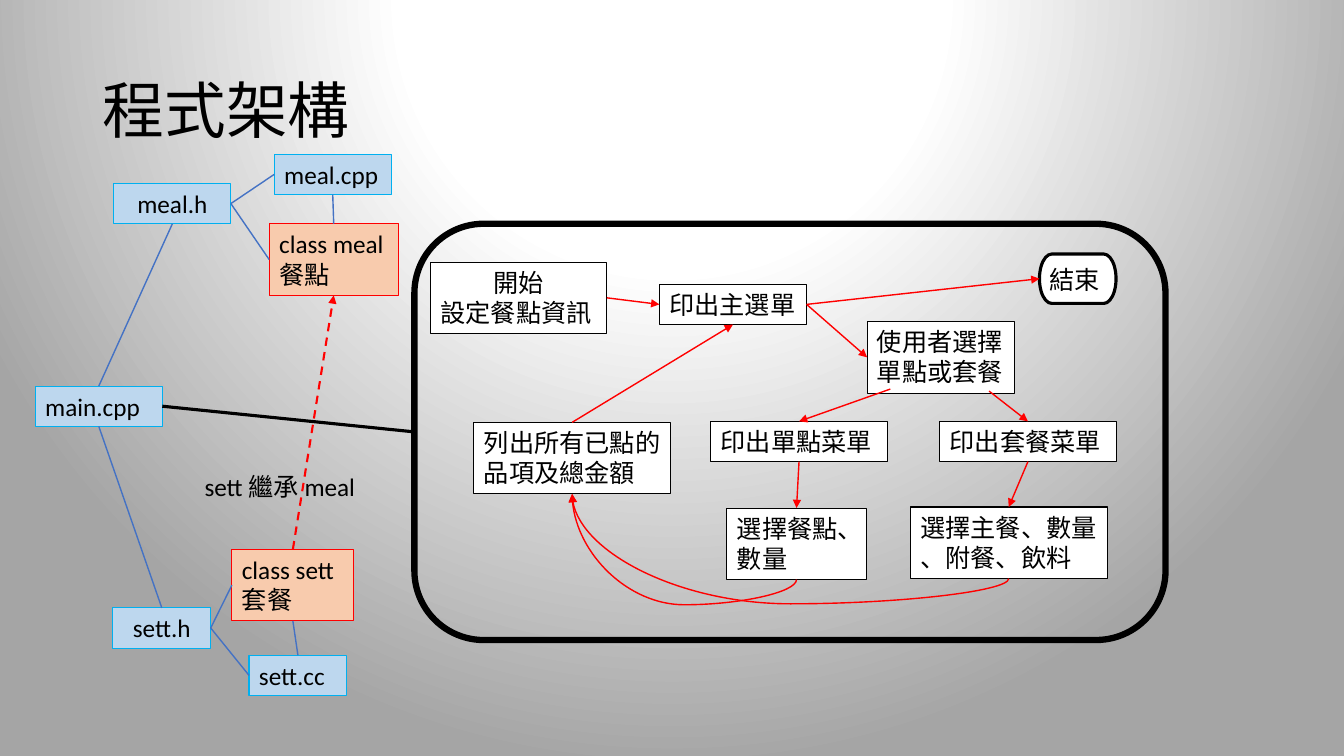
from pptx import Presentation
from pptx.dml.color import RGBColor
from pptx.enum.dml import MSO_LINE
from pptx.enum.shapes import MSO_CONNECTOR as Link, MSO_SHAPE as Shape
from pptx.enum.text import MSO_ANCHOR as Anchor, PP_ALIGN as Align
from pptx.oxml import parse_xml
from pptx.oxml.ns import nsdecls, qn
from pptx.util import Inches, Pt

COLORS = {"black": "000000", "white": "FFFFFF", "gray": "A5A5A5", "red": "FF0000",
          "blue": "4472C4", "cyan": "00B0F0", "file": "BDD7EE", "class": "F8CBAD"}
LATIN, CJK = "Calibri", "Noto Sans CJK TC"
TOP, LEFT, BOTTOM, RIGHT = range(4)
ONE_LINE, TWO_LINES = 0.4, 0.71

TITLE = "程式架構"
# kind: (fill, line)
KINDS = {"file": ("file", "cyan"), "class": ("class", "red"), "step": ("white", "black")}
# name: (kind, lines, left, top, width, height, centred lines)
BOXES = {
    "main": ("file", ["main.cpp"], 0.35, 3.83, 1.26, ONE_LINE, 0),
    "meal_h": ("file", ["meal.h"], 1.13, 1.82, 1.16, ONE_LINE, 1),
    "sett_h": ("file", ["sett.h"], 1.12, 6.03, 0.97, ONE_LINE, 1),
    "meal_cpp": ("file", ["meal.cpp"], 2.72, 1.53, 1.16, ONE_LINE, 0),
    "sett_cc": ("file", ["sett.cc"], 2.47, 6.5, 0.97, ONE_LINE, 0),
    "class_meal": ("class", ["class meal", "餐點"], 2.67, 2.22, 1.28, TWO_LINES, 0),
    "class_sett": ("class", ["class sett", "套餐"], 2.3, 5.45, 1.21, TWO_LINES, 0),
    "start": ("step", ["開始", "設定餐點資訊"], 4.27, 2.6, 1.75, TWO_LINES, 1),
    "menu": ("step", ["印出主選單"], 6.54, 2.82, 1.46, ONE_LINE, 0),
    "choose": ("step", ["使用者選擇單點或套餐"], 8.6, 3.19, 1.46, TWO_LINES, 0),
    "single_menu": ("step", ["印出單點菜單"], 7.05, 4.18, 1.75, ONE_LINE, 0),
    "set_menu": ("step", ["印出套餐菜單"], 9.32, 4.18, 1.75, ONE_LINE, 0),
    "single_pick": ("step", ["選擇餐點、數量"], 7.21, 5.04, 1.38, TWO_LINES, 0),
    "set_pick": ("step", ["選擇主餐、數量", "、附餐、飲料"], 9.03, 5.03, 1.95, TWO_LINES, 0),
    "total": ("step", ["列出所有已點的品項及總金額"], 4.7, 4.19, 1.95, TWO_LINES, 0),
}
# text, left, top, width, height
LABELS = [("sett 繼承 meal", 1.93, 4.63, 1.72, ONE_LINE), ("結束", 10.31, 2.57, 0.72, ONE_LINE)]
# Each end is (box, side) or a free point
FILE_LINKS = [
    (("main", BOTTOM), ("sett_h", TOP)), (("main", TOP), ("meal_h", BOTTOM)),
    (("sett_h", RIGHT), ("class_sett", LEFT)), (("meal_h", RIGHT), ("class_meal", LEFT)),
    (("meal_cpp", LEFT), ("meal_h", RIGHT)), (("sett_cc", LEFT), ("sett_h", RIGHT)),
    (("sett_cc", TOP), ("class_sett", BOTTOM)), (("class_meal", TOP), ("meal_cpp", BOTTOM)),
]
FLOW_ARROWS = [
    (("start", RIGHT), ("menu", LEFT)), (("menu", RIGHT), ("choose", LEFT)),
    ((9.81, 3.88), ("set_menu", TOP)), ((8.83, 3.86), ("single_menu", TOP)),
    (("single_menu", BOTTOM), ("single_pick", TOP)), (("set_menu", BOTTOM), ("set_pick", TOP)),
    (("total", TOP), ("menu", BOTTOM)), (("menu", RIGHT), ("end", LEFT)),
]
RETURN_ARROWS = [("single_pick", "total"), ("set_pick", "total")]


def rgb(name):
    return RGBColor.from_string(COLORS[name])


def write(tf, lines, size=18, font=LATIN, centred=0, anchor=Anchor.TOP, spacing=None):
    tf.word_wrap = True
    tf.vertical_anchor = anchor
    for i, line in enumerate(lines):
        p = tf.paragraphs[0] if i == 0 else tf.add_paragraph()
        p.alignment = Align.CENTER if i < centred else Align.LEFT
        p.line_spacing = spacing
        r = p.add_run()
        r.text = line
        r.font.size, r.font.name = Pt(size), font
        r.font.color.rgb = rgb("black")
        r.font._element.find(qn("a:latin")).addnext(
            parse_xml(f'<a:ea {nsdecls("a")} typeface="{CJK}"/>'))


def add_box(preset, left, top, width, height, fill, line, weight=0.75):
    sp = s.shapes.add_shape(preset, *map(Inches, (left, top, width, height)))
    sp.shadow.inherit = False
    if fill:
        sp.fill.solid()
        sp.fill.fore_color.rgb = rgb(fill)
    else:
        sp.fill.background()
    sp.line.color.rgb, sp.line.width = rgb(line), Pt(weight)
    return sp


def style_line(c, color, weight, arrow):
    c.line.color.rgb, c.line.width = rgb(color), Pt(weight)
    if arrow:
        c.line._get_or_add_ln().append(parse_xml(f'<a:tailEnd {nsdecls("a")} type="triangle"/>'))
    c._element.spPr.append(parse_xml(f'<a:effectLst {nsdecls("a")}/>'))


def connect(begin, end, color, weight=1, arrow=False, dash=None):
    c = s.shapes.add_connector(Link.STRAIGHT, 0, 0, 0, 0)
    if begin[0] in shapes:
        c.begin_connect(shapes[begin[0]], begin[1])
    else:
        c.begin_x, c.begin_y = map(Inches, begin)
    c.end_connect(shapes[end[0]], end[1])
    if dash:
        c.line.dash_style = dash
    style_line(c, color, weight, arrow)


def curve_back(source, target, drop=0.25):
    """Curve from one box's bottom, down by drop, up to another box's bottom."""
    a, b = shapes[source], shapes[target]
    x1, y1 = a.left + a.width // 2, a.top + a.height
    x2, y2 = b.left + b.width // 2, b.top + b.height
    # The connector is laid out unrotated about its centre, then turned by 90 degrees
    cx, cy, rise, run = (x1 + x2) // 2, (y1 + y2) // 2, y1 - y2, x1 - x2
    c = s.shapes.add_connector(Link.CURVE, cx + rise // 2, cy - run // 2,
                               cx - rise // 2, cy + run // 2)
    c._element.spPr.find(qn("a:xfrm")).set("rot", str(90 * 60000))
    adjust = -round(Inches(drop) / rise * 100000)
    guides = c._element.spPr.find(qn("a:prstGeom")).get_or_add_avLst()
    guides.append(parse_xml(f'<a:gd {nsdecls("a")} name="adj1" fmla="val {adjust}"/>'))
    style_line(c, "red", 1, True)


prs = Presentation()
prs.slide_width, prs.slide_height = Inches(13.33), Inches(7.5)
s = prs.slides.add_slide(prs.slide_layouts[5])

# Radial background
s.background.fill.gradient()
grad = s._element.find(".//" + qn("a:gradFill"))
stops = "".join(f'<a:gs pos="{pos * 1000}"><a:srgbClr val="{COLORS[name]}"/></a:gs>'
                for pos, name in ((0, "white"), (35, "white"), (100, "gray")))
grad.getparent().replace(grad, parse_xml(
    f'<a:gradFill {nsdecls("a")} rotWithShape="1"><a:gsLst>{stops}</a:gsLst><a:path path="circle">'
    '<a:fillToRect l="50000" t="-80000" r="50000" b="180000"/></a:path></a:gradFill>'))

# Title
title = s.shapes.title
title.left, title.top, title.width, title.height = map(Inches, (0.92, 0.4, 11.5, 1.45))
write(title.text_frame, [TITLE], size=44, font=CJK, anchor=Anchor.MIDDLE, spacing=0.9)

# Frame, end symbol and boxes
shapes = {
    "frame": add_box(Shape.ROUNDED_RECTANGLE, 4.11, 2.22, 7.45, 4.13, None, "black", 4.5),
    "end": add_box(Shape.FLOWCHART_TERMINATOR, 10.31, 2.52, 0.76, 0.49, "white", "black", 2.25),
}
for name, (kind, lines, *place, centred) in BOXES.items():
    shapes[name] = add_box(Shape.RECTANGLE, *place, *KINDS[kind])
    write(shapes[name].text_frame, lines, centred=centred)
for text, *place in LABELS:
    write(s.shapes.add_textbox(*map(Inches, place)).text_frame, [text])

# Lines and arrows
for begin, end in FILE_LINKS:
    connect(begin, end, "blue")
connect(("main", RIGHT), ("frame", LEFT), "black", weight=2.25)
for begin, end in FLOW_ARROWS:
    connect(begin, end, "red", arrow=True)
for source, target in RETURN_ARROWS:
    curve_back(source, target)
connect(("class_sett", TOP), ("class_meal", BOTTOM), "red", weight=1.5, arrow=True,
        dash=MSO_LINE.DASH)

prs.save("out.pptx")
